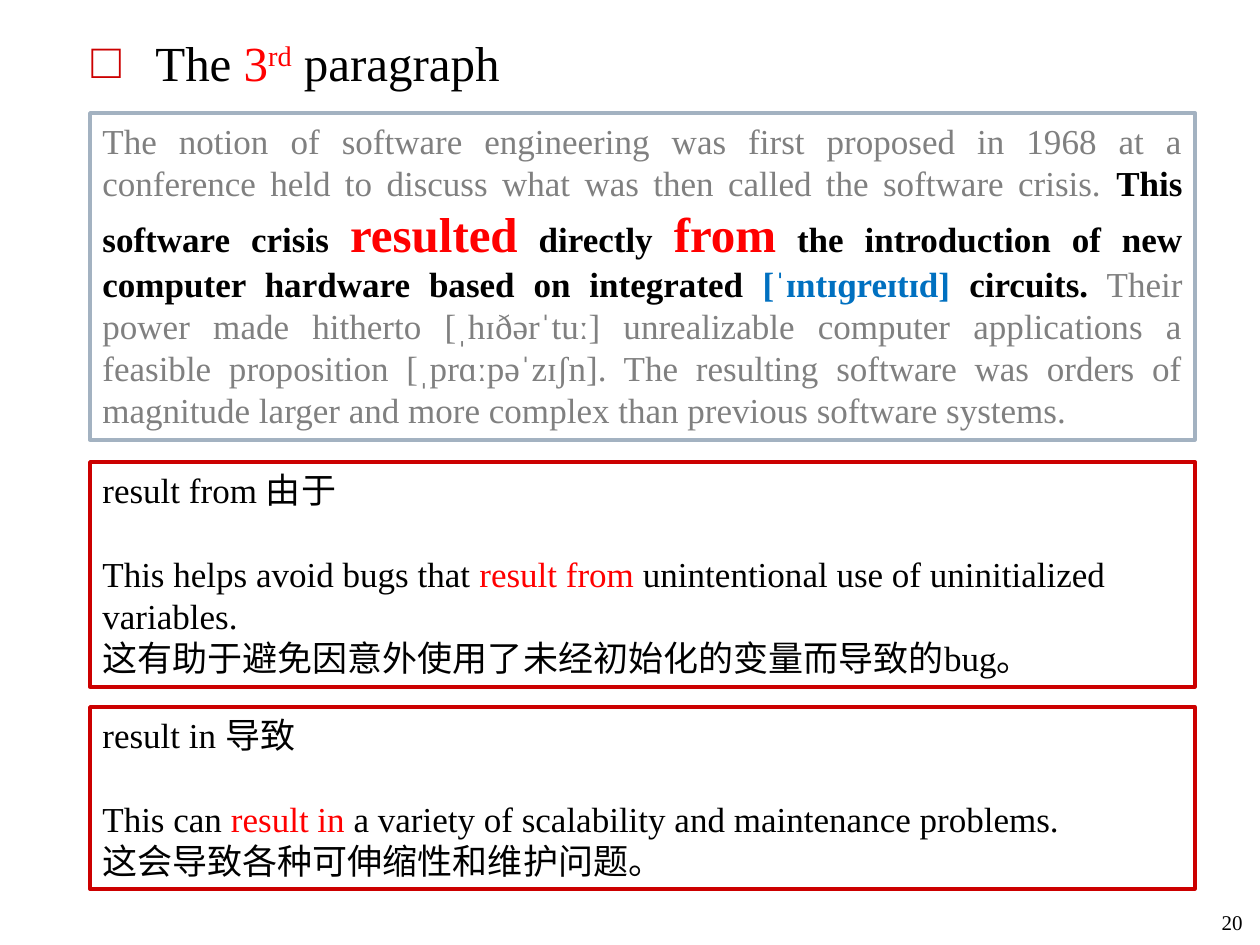
from lxml import etree
from pptx import Presentation
from pptx import util as u
from pptx.dml.color import RGBColor
from pptx.enum import shapes, text
from pptx.oxml.ns import qn

PX = 914400 / 126
FONT = "Times New Roman"
BLACK, RED, GRAY, BLUE = "000000", "FF0000", "808080", "0070C0"
FRAME_RED, FRAME_BLUE = "CC0000", "A3B2C1"
JUSTIFY, LEFT, RIGHT = text.PP_ALIGN.JUSTIFY, text.PP_ALIGN.LEFT, text.PP_ALIGN.RIGHT


def px(*lengths):
    return [u.Emu(round(n * PX)) for n in lengths]


def write(paragraph, runs, size=20, align=LEFT):
    """Add runs given as (wording, colour, optional font settings)."""
    paragraph.alignment = align
    for wording, color, *extra in runs:
        run = paragraph.add_run()
        run.text = wording
        run.font.color.rgb = RGBColor.from_string(color)
        settings = {"name": FONT, "size": u.Pt(size), "bold": False}
        for key, value in (settings | (extra[0] if extra else {})).items():
            setattr(run.font, key, value)


prs = Presentation()
prs.slide_width, prs.slide_height = px(1260, 945)
slide = prs.slides.add_slide(prs.slide_layouts[6])

# Heading with a square bullet
heading = slide.shapes.add_textbox(*px(79, 26, 1103, 684)).text_frame
heading.word_wrap = True
line = heading.paragraphs[0]
write(line, [("The ", BLACK), ("3", RED), ("rd", RED), (" paragraph", BLACK)], 28)
line.runs[2].font._element.set("baseline", "30000")
line.space_before = u.Pt(2.8)
props = line._p.get_or_add_pPr()
indent = px(64)[0]
props.set("marL", str(indent))
props.set("indent", str(-indent))
bullet_color = etree.SubElement(props, qn("a:buClr"))
etree.SubElement(bullet_color, qn("a:srgbClr"), val=FRAME_RED)
etree.SubElement(props, qn("a:buFont"), typeface=FONT)
etree.SubElement(props, qn("a:buChar"), char="□")

# Slide number
number = slide.shapes.add_textbox(*px(1181, 869, 74, 72)).text_frame
number.word_wrap = True
number.vertical_anchor = text.MSO_ANCHOR.BOTTOM
write(number.paragraphs[0], [("20", BLACK)], 12, RIGHT)

# Framed passage and the two phrase notes
BOLD = {"bold": True}
KEYWORD = {"bold": True, "size": u.Pt(28)}
passage = [[
    ("The notion of software engineering was first proposed in 1968 at a conference "
     "held to discuss what was then called the software crisis. ", GRAY),
    ("This software crisis ", BLACK, BOLD),
    ("resulted", RED, KEYWORD),
    (" directly ", BLACK, BOLD),
    ("from", RED, KEYWORD),
    (" the introduction of new computer hardware based on integrated ", BLACK, BOLD),
    ("[ˈɪntɪɡreɪtɪd] ", BLUE, BOLD),
    ("circuits.", BLACK, BOLD),
    (" Their power made hitherto [ˌhɪðərˈtuː] unrealizable computer applications a "
     "feasible proposition [ˌprɑːpəˈzɪʃn]. The resulting software was orders of "
     "magnitude larger and more complex than previous software systems.", GRAY),
]]
result_from = [
    [("result from 由于", BLACK)],
    [("This helps avoid bugs that ", BLACK), ("result from ", RED),
     ("unintentional use of uninitialized variables.", BLACK)],
    [("这有助于避免因意外使用了未经初始化的变量而导致的bug。", BLACK)],
]
result_in = [
    [("result in 导致", BLACK)],
    [("This can ", BLACK), ("result in ", RED),
     ("a variety of scalability and maintenance problems.", BLACK)],
    [("这会导致各种可伸缩性和维护问题。", BLACK)],
]

for top, height, frame_color, align, paragraphs in (
    (113, 327, FRAME_BLUE, JUSTIFY, passage),
    (462, 225, FRAME_RED, LEFT, result_from),
    (707, 182, FRAME_RED, LEFT, result_in),
):
    box = slide.shapes.add_shape(shapes.MSO_SHAPE.RECTANGLE, *px(90, top, 1105, height))
    box.shadow.inherit = False
    box.fill.solid()
    box.fill.fore_color.rgb = RGBColor.from_string("FFFFFF")
    box.line.color.rgb = RGBColor.from_string(frame_color)
    box.line.width = u.Pt(2)
    frame = box.text_frame
    frame.word_wrap = True
    frame.auto_size = text.MSO_AUTO_SIZE.SHAPE_TO_FIT_TEXT
    frame.vertical_anchor = text.MSO_ANCHOR.TOP
    for i, runs in enumerate(paragraphs):
        paragraph = frame.add_paragraph() if i else frame.paragraphs[0]
        write(paragraph, runs, align=align)
        if i == 1:  # one line of air between the phrase and its example
            paragraph.space_before = u.Pt(24)

prs.save("out.pptx")
